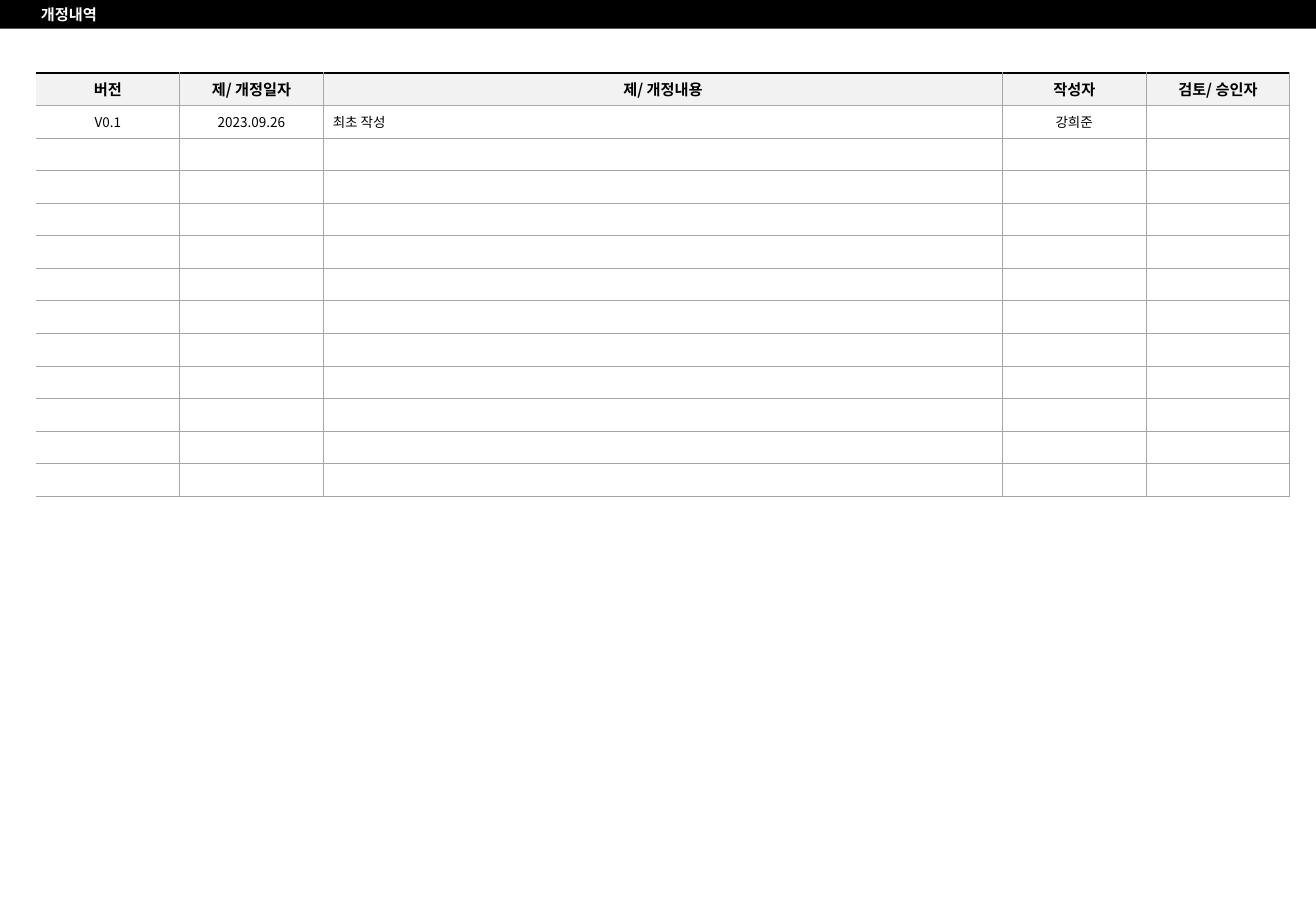
from dataclasses import dataclass

from lxml.etree import SubElement
from pptx import Presentation
from pptx.dml.color import RGBColor
from pptx.enum.shapes import MSO_SHAPE as Shape
from pptx.enum.text import MSO_ANCHOR as Anchor, MSO_AUTO_SIZE as AutoSize, PP_ALIGN as Align
from pptx.oxml.ns import qn
from pptx.util import Pt

TITLE = "개정내역"
HEADINGS = ("버전", "제/ 개정일자", "제/ 개정내용", "작성자", "검토/ 승인자")
REVISIONS = [("V0.1", "2023.09.26", "최초 작성", "강희준", "")]
EMPTY_ROWS = 11
CONTENT_COLUMN = 2


@dataclass(frozen=True)
class Theme:
    font: str = "Noto Sans CJK KR"
    ink: str = "000000"
    paper: str = "FFFFFF"
    heading_fill: str = "F2F2F2"
    rule: str = "A6A6A6"
    heading_size: float = 9
    body_size: float = 8
    rule_width: float = 0.5
    top_width: float = 1


THEME = Theme()
PAGE_WIDTH, PAGE_HEIGHT = 780, 540
BAR_HEIGHT = 17
TABLE_LEFT, TABLE_TOP = 21.4, 43.2
NARROW, WIDE = 85.1, 402.6
ROW_HEIGHT = 19.33


def paint(fill, color):
    fill.solid()
    fill.fore_color.rgb = RGBColor.from_string(color)


def style(para, size, color, bold):
    font = para.font
    font.name, font.size, font.bold = THEME.font, Pt(size), bold
    font.color.rgb = RGBColor.from_string(color)
    defaults = para._p.pPr.find(qn("a:defRPr"))
    SubElement(defaults, qn("a:ea"), typeface=THEME.font)


def write(frame, text, size, color, bold, align):
    para = frame.paragraphs[0]
    para.alignment = align
    if text:
        para.text = text
    style(para, size, color, bold)
    if not text:
        SubElement(para._p, qn("a:endParaRPr"), sz=str(size * 100))
    return para


def set_border(cell, side, color, width):
    line = SubElement(cell._tc.get_or_add_tcPr(), qn("a:ln" + side), w=str(Pt(width)))
    if color:
        solid = SubElement(line, qn("a:solidFill"))
        SubElement(solid, qn("a:srgbClr"), val=color)
    else:
        SubElement(line, qn("a:noFill"))


def fill_cell(cell, text, row, column):
    heading = row == 0
    for side in "LRTB":
        color, width = THEME.rule, THEME.rule_width
        if side == "L" and column == 0:
            color = None
        elif side == "T" and heading:
            color, width = THEME.ink, THEME.top_width
        set_border(cell, side, color, width)
    paint(cell.fill, THEME.heading_fill if heading else THEME.paper)
    cell.vertical_anchor = Anchor.MIDDLE
    cell.margin_left = cell.margin_right = Pt(5.67)
    cell.margin_top = cell.margin_bottom = Pt(2.83)
    centred = heading or column != CONTENT_COLUMN
    write(cell.text_frame, text, THEME.heading_size if heading else THEME.body_size,
          THEME.ink, heading, Align.CENTER if centred else Align.LEFT)


def add_title(page):
    bar = page.shapes.add_shape(Shape.RECTANGLE, 0, 0, Pt(PAGE_WIDTH), Pt(BAR_HEIGHT))
    bar.shadow.inherit = False
    paint(bar.fill, THEME.ink)
    bar.line.fill.background()
    box = page.shapes.add_textbox(Pt(15.8), Pt(-2.2), Pt(53.3), Pt(22.3))
    frame = box.text_frame
    frame.word_wrap = False
    frame.auto_size = AutoSize.SHAPE_TO_FIT_TEXT
    frame.margin_left = frame.margin_right = Pt(8.5)
    frame.margin_top = frame.margin_bottom = Pt(5.67)
    para = write(frame, TITLE, THEME.heading_size, THEME.paper, True, Align.LEFT)
    para.space_after = Pt(5.5)


def add_history(page):
    rows = [HEADINGS, *REVISIONS] + [("",) * len(HEADINGS)] * EMPTY_ROWS
    widths = [WIDE if column == CONTENT_COLUMN else NARROW for column in range(len(HEADINGS))]
    table = page.shapes.add_table(len(rows), len(widths), Pt(TABLE_LEFT), Pt(TABLE_TOP),
                                  Pt(sum(widths)), Pt(ROW_HEIGHT * len(rows))).table
    table.first_row = table.horz_banding = False
    for column, width in enumerate(widths):
        table.columns[column].width = Pt(width)
    for row, texts in enumerate(rows):
        table.rows[row].height = Pt(ROW_HEIGHT)
        for column, text in enumerate(texts):
            fill_cell(table.cell(row, column), text, row, column)


def main():
    deck = Presentation()
    deck.slide_width, deck.slide_height = Pt(PAGE_WIDTH), Pt(PAGE_HEIGHT)
    page = deck.slides.add_slide(deck.slide_layouts[6])
    add_title(page)
    add_history(page)
    deck.save("out.pptx")


if __name__ == "__main__":
    main()
